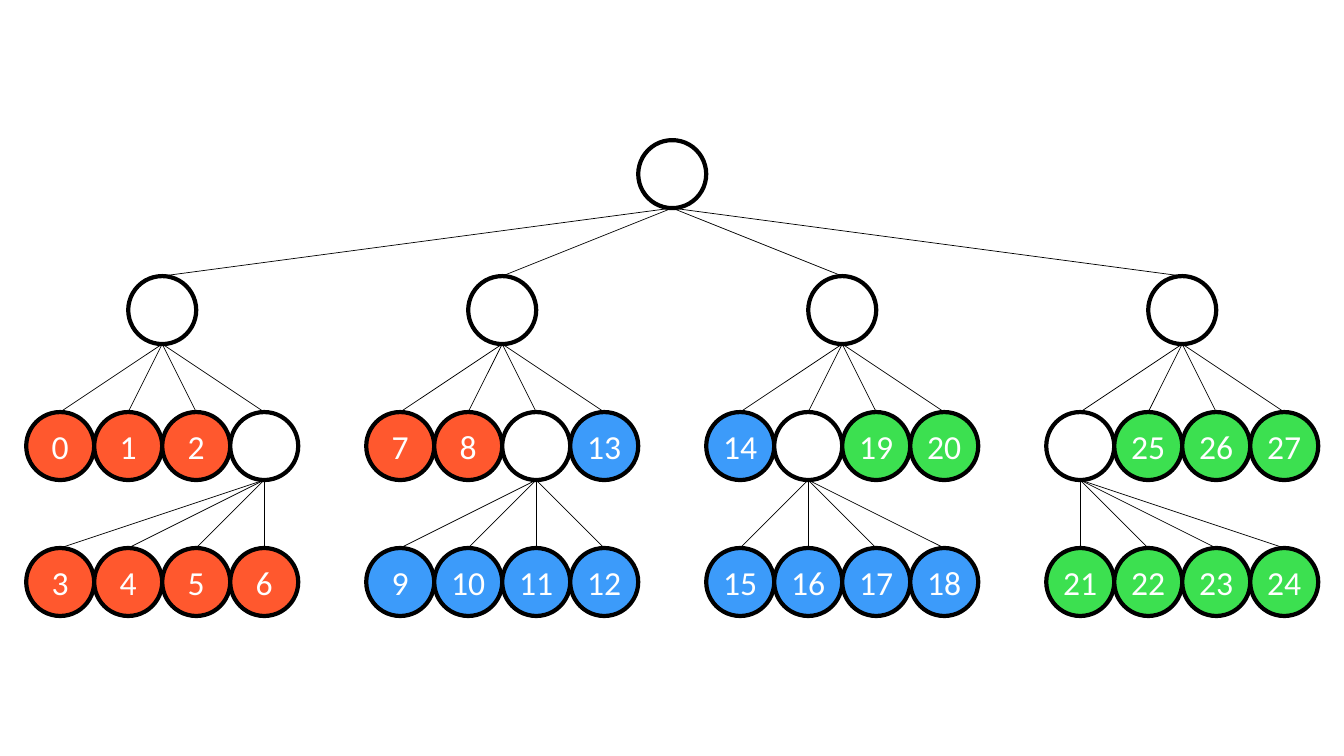
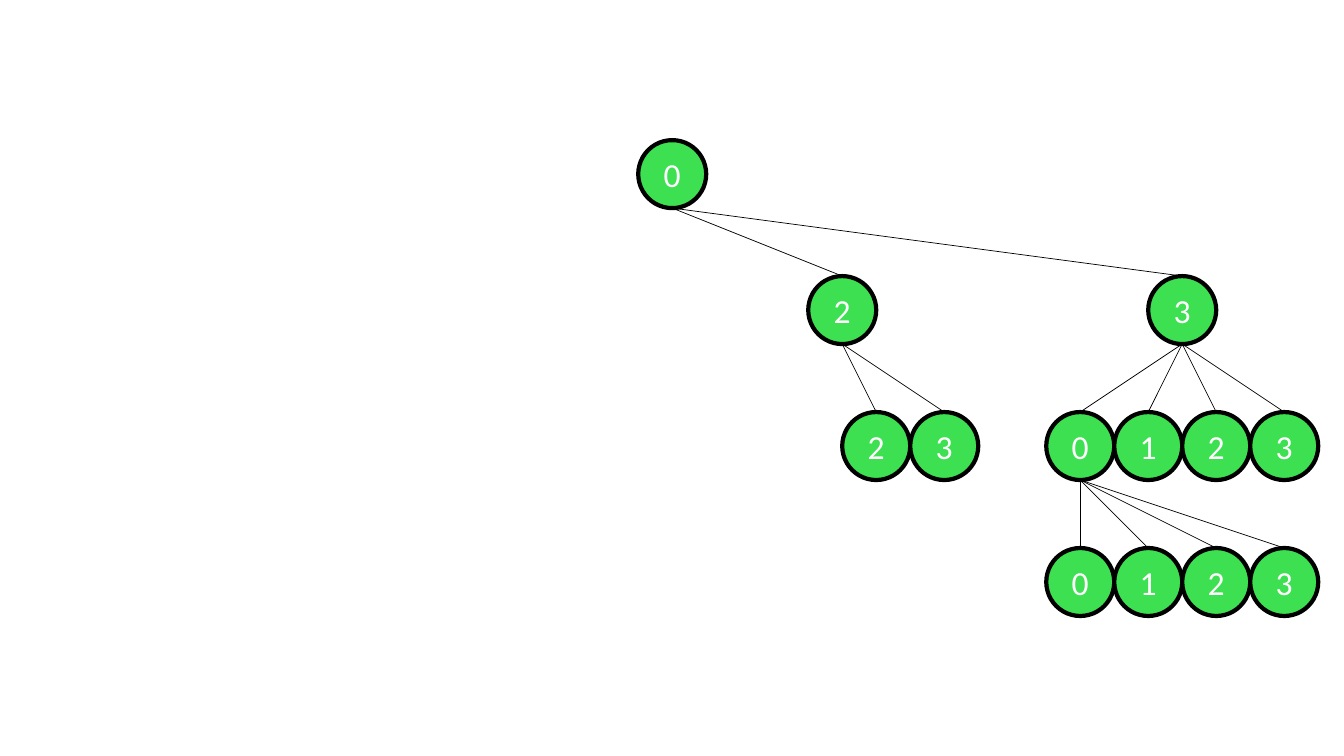
from itertools import count

from lxml import etree
from pptx import Presentation
from pptx.dml.color import RGBColor
from pptx.enum.shapes import MSO_CONNECTOR, MSO_SHAPE
from pptx.enum.text import MSO_ANCHOR, PP_ALIGN
from pptx.oxml.ns import qn
from pptx.util import Inches, Pt

OVAL = MSO_SHAPE.OVAL
STRAIGHT = MSO_CONNECTOR.STRAIGHT
MIDDLE = MSO_ANCHOR.MIDDLE
CENTER = PP_ALIGN.CENTER

BLACK, WHITE = "000000", "FFFFFF"
RED, BLUE, GREEN = "FF582E", "3C9BFA", "3CE050"
FONT = "Calibri"

# Tree grid: 19 columns of touching circles, one empty column between groups
LEFT, TOP = 0.26, 1.39
DIAMETER = (12.4 - LEFT) / 18
ROW_STEP = 2 * DIAMETER
GROUP_STEP = 5
OVAL_BOTTOM = "4"  # an oval has eight connection sites


def rgb(hex_color):
    return RGBColor.from_string(hex_color)


def add_node(slide, col, row, label, color):
    """Circle in a grid cell, with an optional label."""
    sp = slide.shapes.add_shape(
        OVAL, Inches(LEFT + col * DIAMETER), Inches(TOP + row * ROW_STEP),
        Inches(DIAMETER), Inches(DIAMETER))
    sp.shadow.inherit = False
    sp.fill.solid()
    sp.fill.fore_color.rgb = rgb(color)
    sp.line.color.rgb = rgb(BLACK)
    sp.line.width = Pt(3)
    if label:
        tf = sp.text_frame
        tf.word_wrap = False
        tf.vertical_anchor = MIDDLE
        p = tf.paragraphs[0]
        p.alignment = CENTER
        r = p.add_run()
        r.text = label
        r.font.name = FONT
        r.font.size = Pt(24)
        r.font.color.rgb = rgb(WHITE)
    return sp


def add_edge(slide, parent, child):
    """Thin line from the bottom of the parent to the top of the child."""
    edge = slide.shapes.add_connector(STRAIGHT, 0, 0, 0, 0)
    edge.begin_connect(parent, 2)
    edge.end_connect(child, 0)
    edge._element.find(".//" + qn("a:stCxn")).set("idx", OVAL_BOTTOM)
    edge.line.color.rgb = rgb(BLACK)
    edge.line.width = Pt(0.5)
    etree.SubElement(edge._element.spPr, qn("a:effectLst"))


def add_tree(slide, groups, node_style):
    """Quadtree; groups maps a quadrant to (its children, the split child).

    node_style(quadrant, is_leaf) gives the label and the colour of a node.
    """
    edges = []

    def place(parent, col, row, quadrant, is_leaf):
        sp = add_node(slide, col, row, *node_style(quadrant, is_leaf))
        if parent is not None:
            edges.append((parent, sp))
        return sp

    root = place(None, 9, 0, 0, False)
    for group, (children, split) in groups.items():
        first = group * GROUP_STEP
        branch = place(root, first + 1.5, 1, group, False)
        for child in children:
            sp = place(branch, first + child, 2, child, child != split)
            if child == split:
                for leaf in range(4):
                    place(sp, first + leaf, 3, leaf, True)

    for parent, child in edges:
        add_edge(slide, parent, child)


def numbered_style():
    """Leaves numbered in depth-first order and coloured by range."""
    numbers = count()

    def style(quadrant, is_leaf):
        if not is_leaf:
            return "", WHITE
        n = next(numbers)
        return str(n), RED if n < 9 else BLUE if n < 19 else GREEN

    return style


def quadrant_style(quadrant, is_leaf):
    """Every node labelled with its quadrant."""
    return str(quadrant), GREEN


def main():
    prs = Presentation()
    prs.slide_width, prs.slide_height = Inches(13.33), Inches(7.5)
    blank = prs.slide_layouts[6]

    # Whole tree, leaves split into three ranges
    full = {group: (range(4), 3 - group) for group in range(4)}
    add_tree(prs.slides.add_slide(blank), full, numbered_style())

    # The part of the tree that holds the last range
    partial = {2: ((2, 3), None), 3: (range(4), 0)}
    add_tree(prs.slides.add_slide(blank), partial, quadrant_style)

    prs.save("out.pptx")


if __name__ == "__main__":
    main()
